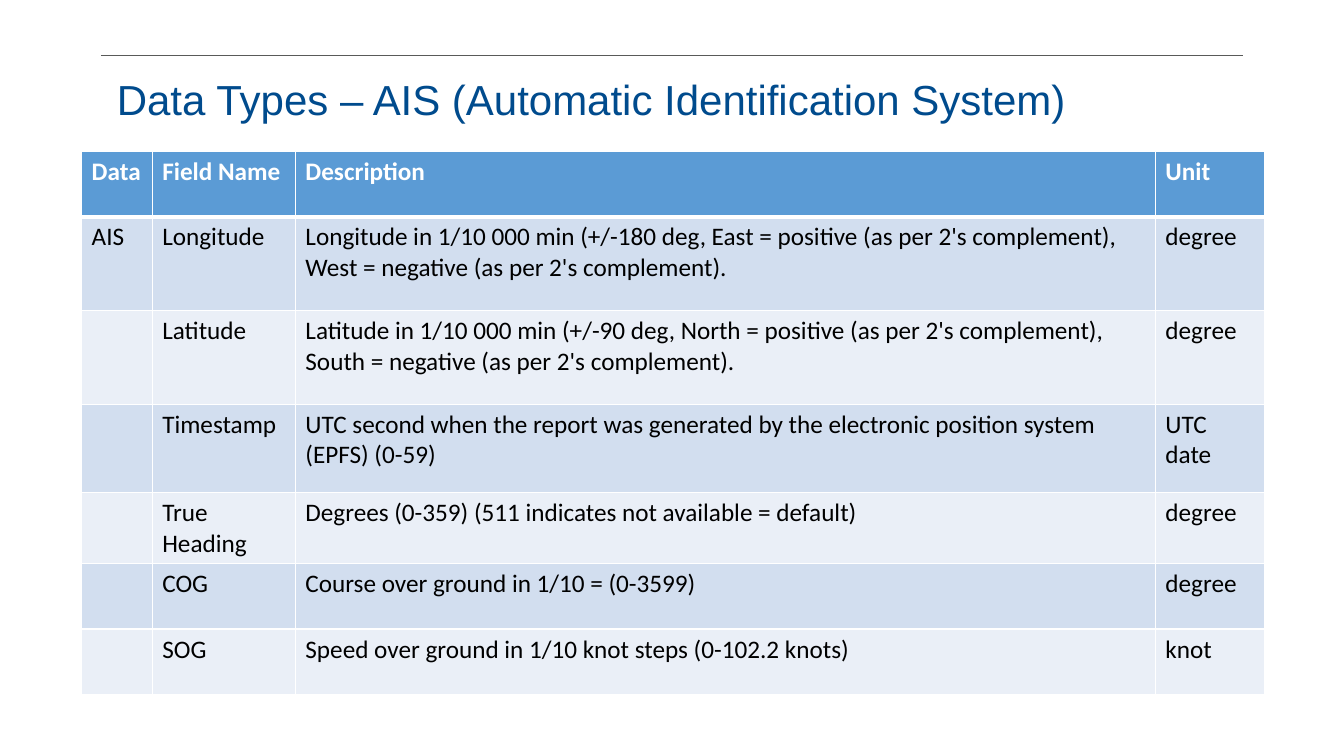
from lxml import etree
from pptx import Presentation
from pptx.dml.color import RGBColor
from pptx.enum.shapes import MSO_CONNECTOR
from pptx.enum.text import MSO_ANCHOR
from pptx.oxml.ns import qn
from pptx.util import Inches, Pt

STRAIGHT = MSO_CONNECTOR.STRAIGHT
MIDDLE = MSO_ANCHOR.MIDDLE

SLIDE_W, SLIDE_H = 13.33, 7.5
COLORS = {
    "rule": "595A59", "title": "004B8D", "header": "5B9BD5",
    "odd_row": "D2DEEF", "even_row": "EAEFF7",
    "border": "FFFFFF", "header_text": "FFFFFF", "body_text": "000000",
}
TITLE = "Data Types – AIS (Automatic Identification System)"
COLUMN_WIDTHS = [0.7, 1.42, 8.53, 1.08]
ROW_HEIGHTS = [0.65, 0.93, 0.93, 0.88, 0.65, 0.65, 0.65]
FIELDS = [
    ("Data", "Field Name", "Description", "Unit"),
    ("AIS", "Longitude",
     "Longitude in 1/10 000 min (+/-180 deg, East = positive (as per 2's complement), "
     "West = negative (as per 2's complement).", "degree"),
    ("", "Latitude",
     "Latitude in 1/10 000 min (+/-90 deg, North = positive (as per 2's complement), "
     "South = negative (as per 2's complement).", "degree"),
    ("", "Timestamp",
     "UTC second when the report was generated by the electronic position system "
     "(EPFS) (0-59)", "UTC date"),
    ("", "True Heading", "Degrees (0-359) (511 indicates not available = default)", "degree"),
    ("", "COG", "Course over ground in 1/10 = (0-3599)", "degree"),
    ("", "SOG", "Speed over ground in 1/10 knot steps (0-102.2 knots)", "knot"),
]


def color(name):
    return RGBColor.from_string(COLORS[name])


def style_font(font, face, size, color_name, bold=False):
    font.name, font.size, font.bold = face, Pt(size), bold
    font.color.rgb = color(color_name)


def add_rule(slide, left, top, width):
    rule = slide.shapes.add_connector(
        STRAIGHT, Inches(left), Inches(top), Inches(left + width), Inches(top))
    rule.line.color.rgb = color("rule")
    rule.line.width = Pt(0.5)
    etree.SubElement(rule._element.spPr, qn("a:effectLst"))


def add_title(slide, left, top, width, height):
    title = slide.shapes.add_textbox(
        Inches(left), Inches(top), Inches(width), Inches(height))
    frame = title.text_frame
    frame.word_wrap = True
    frame.vertical_anchor = MIDDLE
    frame.text = TITLE
    paragraph = frame.paragraphs[0]
    paragraph.line_spacing = 0.9
    style_font(paragraph.runs[0].font, "Arial", 30, "title")


def set_borders(cell, widths):
    """Draw the cell borders; widths maps each side (L, R, T, B) to points."""
    properties = cell._tc.get_or_add_tcPr()
    for side, width in widths.items():
        line = etree.SubElement(properties, qn(f"a:ln{side}"), w=str(Pt(width)))
        fill = etree.SubElement(line, qn("a:solidFill"))
        etree.SubElement(fill, qn("a:srgbClr"), val=COLORS["border"])


def add_field_table(slide, left, top):
    table = slide.shapes.add_table(
        len(FIELDS), len(COLUMN_WIDTHS), Inches(left), Inches(top),
        Inches(sum(COLUMN_WIDTHS)), Inches(sum(ROW_HEIGHTS))).table
    for column, width in zip(table.columns, COLUMN_WIDTHS):
        column.width = Inches(width)

    for r, (row, height, texts) in enumerate(zip(table.rows, ROW_HEIGHTS, FIELDS)):
        row.height = Inches(height)
        is_header = r == 0
        fill_name = "header" if is_header else "odd_row" if r % 2 else "even_row"
        text_name = "header_text" if is_header else "body_text"
        # The line under the header is heavier than the others
        widths = {"L": 1, "R": 1, "T": 3 if r == 1 else 1, "B": 3 if is_header else 1}
        for cell, text in zip(row.cells, texts):
            set_borders(cell, widths)
            cell.fill.solid()
            cell.fill.fore_color.rgb = color(fill_name)
            cell.text_frame.text = text
            for run in cell.text_frame.paragraphs[0].runs:
                style_font(run.font, "Calibri", 18, text_name, is_header)


def main():
    deck = Presentation()
    deck.slide_width, deck.slide_height = Inches(SLIDE_W), Inches(SLIDE_H)
    slide = deck.slides.add_slide(deck.slide_layouts[6])

    # Heading: rule and title
    add_rule(slide, 1, 0.55, SLIDE_W - 2)
    add_title(slide, 1.06, 0.66, 11.35, 0.7)

    # Table of AIS fields
    add_field_table(slide, 0.81, 1.5)

    deck.save("out.pptx")


if __name__ == "__main__":
    main()
